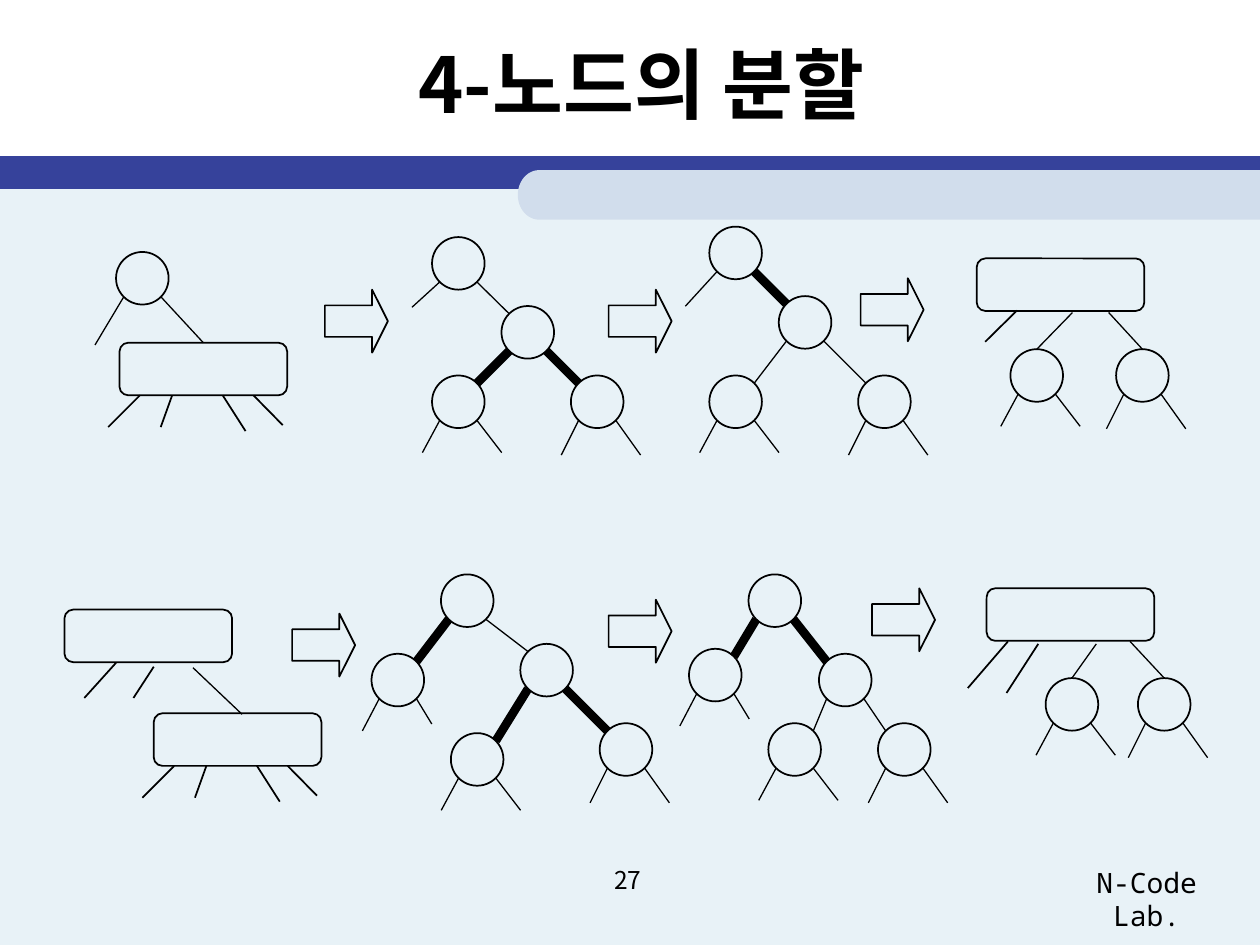
from dataclasses import dataclass
from math import cos, pi, sin

from lxml import etree
from pptx import Presentation
from pptx.dml.color import RGBColor
from pptx.enum.shapes import MSO_CONNECTOR, MSO_SHAPE
from pptx.enum.text import MSO_ANCHOR, PP_ALIGN
from pptx.oxml.ns import qn
from pptx.util import Cm, Pt

RECT = MSO_SHAPE.RECTANGLE
ROUND = MSO_SHAPE.ROUNDED_RECTANGLE
OVAL = MSO_SHAPE.OVAL
ARROW = MSO_SHAPE.RIGHT_ARROW
LINE = MSO_CONNECTOR.STRAIGHT
MIDDLE, TOP = MSO_ANCHOR.MIDDLE, MSO_ANCHOR.TOP
CENTER = PP_ALIGN.CENTER

SIZE = 1.06
CORNER = SIZE * (1 - cos(pi / 4)) / 2


@dataclass(frozen=True)
class Theme:
    ink: RGBColor = RGBColor(0, 0, 0)
    pale: RGBColor = RGBColor(0xE8, 0xF2, 0xF7)
    band: RGBColor = RGBColor(0x36, 0x42, 0x9B)
    tab: RGBColor = RGBColor(0xD1, 0xDD, 0xEC)
    sans: str = "Noto Sans CJK KR"
    mono: str = "Noto Sans Mono"
    title: int = 44
    label: int = 16
    number: int = 14
    thin: float = 0.75
    line: float = 1
    bold: float = 5


THEME = Theme()


@dataclass
class Leg:
    dx: float
    dy: float


@dataclass
class Node:
    x: float
    y: float
    left: object = None
    right: object = None
    bold: bool = False


def paint(shape, color):
    shape.shadow.inherit = False
    shape.fill.solid()
    shape.fill.fore_color.rgb = color
    shape.line.fill.background()


def outline(slide, kind, x, y, wide=SIZE, high=SIZE):
    shape = slide.shapes.add_shape(kind, Cm(x), Cm(y), Cm(wide), Cm(high))
    shape.shadow.inherit = False
    shape.fill.background()
    shape.line.color.rgb = THEME.ink
    shape.line.width = Pt(THEME.line)
    return shape


def box(slide, x, y):
    return outline(slide, ROUND, x, y, 3.38)


def arrow(slide, x, y):
    outline(slide, ARROW, x, y, 1.27, 1.27).adjustments[1] = 0.25


def line(slide, x1, y1, x2, y2, width=THEME.thin):
    link = slide.shapes.add_connector(LINE, Cm(x1), Cm(y1), Cm(x2), Cm(y2))
    link.line.color.rgb = THEME.ink
    link.line.width = Pt(width)
    etree.SubElement(link._element.spPr, qn("a:effectLst"))
    return link


def hang(slide, x, y, shape):
    line(slide, x, y, x, y + 1).end_connect(shape, 0)


def fan(slide, x, y):
    base = y + SIZE
    for start, end, drop in ((0.41, -0.23, 0.64), (1.06, 0.83, 0.64),
                             (2.08, 2.54, 0.72), (2.7, 3.29, 0.6)):
        line(slide, x + start, base, x + end, base + drop, THEME.line)


def grow(slide, node):
    foot = node.y + SIZE - CORNER
    near, far = CORNER, SIZE - CORNER
    for part, own, other in ((node.left, near, far), (node.right, far, near)):
        x = node.x + own
        if isinstance(part, Leg):
            line(slide, x, foot, x + part.dx, foot + part.dy)
        elif isinstance(part, Node):
            grow(slide, part)
            width = THEME.bold if part.bold else THEME.thin
            line(slide, x, foot, part.x + other, part.y + CORNER, width)
    return outline(slide, OVAL, node.x, node.y)


def leaf(x, y, drop=0.65, bold=False):
    return Node(x, y, Leg(-0.35, drop), Leg(0.5, drop), bold)


def stub(x, y):
    return Node(x, y, Leg(-0.34, 0.65), Leg(0.31, 0.51), True)


def label(slide, words, place, style, anchor=TOP, before=0):
    frame = slide.shapes.add_textbox(*map(Cm, place)).text_frame
    frame.word_wrap = True
    frame.vertical_anchor = anchor
    para = frame.paragraphs[0]
    para.alignment = CENTER
    para.space_before = Pt(before)
    run = para.add_run()
    run.text = words
    run.font.color.rgb = THEME.ink
    for key, value in style.items():
        setattr(run.font, key, value)
    east = etree.SubElement(run._r.get_or_add_rPr(), qn("a:ea"))
    east.set("typeface", style["name"])


def frame(slide):
    for y, high, color in ((3.56, 15.49, THEME.pale), (3.15, 0.66, THEME.band)):
        bar = slide.shapes.add_shape(RECT, 0, Cm(y), Cm(25.4), Cm(high))
        paint(bar, color)
    left, top, wide, high = 10.87, 3.43, 0.43, 0.5
    steps = 24
    curve = [(Cm(left - wide * sin(pi * i / steps)),
              Cm(top + high * (1 - cos(pi * i / steps))))
             for i in range(steps + 1)]
    pen = slide.shapes.build_freeform(Cm(25.4), Cm(top))
    pen.add_line_segments(curve + [(Cm(25.4), Cm(top + 2 * high))], close=True)
    paint(pen.convert_to_shape(), THEME.tab)


def upper(slide):
    root = grow(slide, Node(2.34, 5.08, Leg(-0.58, 0.97)))
    child = box(slide, 2.41, 6.91)
    fan(slide, 2.41, 6.91)
    hang(slide, 2.34 + SIZE - CORNER, 5.08 + SIZE - CORNER, child)
    grow(slide, Node(8.71, 4.78, Leg(-0.56, 0.51), Node(
        10.11, 6.17, leaf(8.71, 7.57, bold=True),
        leaf(11.51, 7.57, 0.7, True))))
    grow(slide, Node(14.3, 4.57, Leg(-0.64, 0.7), Node(
        15.7, 5.97, leaf(14.3, 7.57), leaf(17.3, 7.57, 0.7), True)))
    box(slide, 19.69, 5.21)
    line(slide, 20.5, 6.26, 19.86, 6.89, THEME.line)
    hang(slide, 21.62, 6.3, grow(slide, leaf(20.37, 7.04)))
    hang(slide, 22.35, 6.3, grow(slide, leaf(22.5, 7.04, 0.7)))
    for x, y in ((6.55, 5.84), (12.27, 5.84), (17.35, 5.61)):
        arrow(slide, x, y)


def lower(slide):
    box(slide, 1.3, 12.29)
    box(slide, 3.1, 14.38)
    fan(slide, 3.1, 14.38)
    line(slide, 3.89, 13.46, 4.88, 14.4)
    grow(slide, Node(8.89, 11.58, stub(7.49, 13.18), Node(
        10.49, 12.98, leaf(9.09, 14.78, bold=True),
        leaf(12.09, 14.58, 0.7, True))))
    grow(slide, Node(15.09, 11.58, stub(13.89, 13.08), Node(
        16.51, 13.18, leaf(15.49, 14.58), leaf(17.7, 14.58, 0.7), True)))
    box(slide, 19.89, 11.86)
    for ends in ((2.34, 13.36, 1.7, 14.07), (3.1, 13.44, 2.69, 14.07),
                 (20.32, 12.93, 19.51, 13.87), (20.93, 12.98, 20.29, 13.97)):
        line(slide, *ends, THEME.line)
    hang(slide, 22.1, 12.98, grow(slide, leaf(21.08, 13.67)))
    hang(slide, 22.78, 12.93, grow(slide, leaf(22.94, 13.67, 0.7)))
    for x, y in ((5.89, 12.37), (12.27, 12.09), (17.58, 11.86)):
        arrow(slide, x, y)


def main():
    deck = Presentation()
    deck.slide_width, deck.slide_height = Cm(25.4), Cm(19.05)
    slide = deck.slides.add_slide(deck.slide_layouts[6])
    frame(slide)
    label(slide, "N-Code Lab.", (21.11, 17.32, 4.01, 0.94),
          {"name": THEME.mono, "size": Pt(THEME.label)}, before=10)
    label(slide, "27", (9.7, 17.32, 5.92, 1.32),
          {"name": THEME.sans, "size": Pt(THEME.number)})
    label(slide, "4-노드의 분할", (1.5, 0.2, 22.86, 2.92),
          {"name": THEME.sans, "size": Pt(THEME.title), "bold": True}, MIDDLE)
    upper(slide)
    lower(slide)
    deck.save("out.pptx")


if __name__ == "__main__":
    main()
